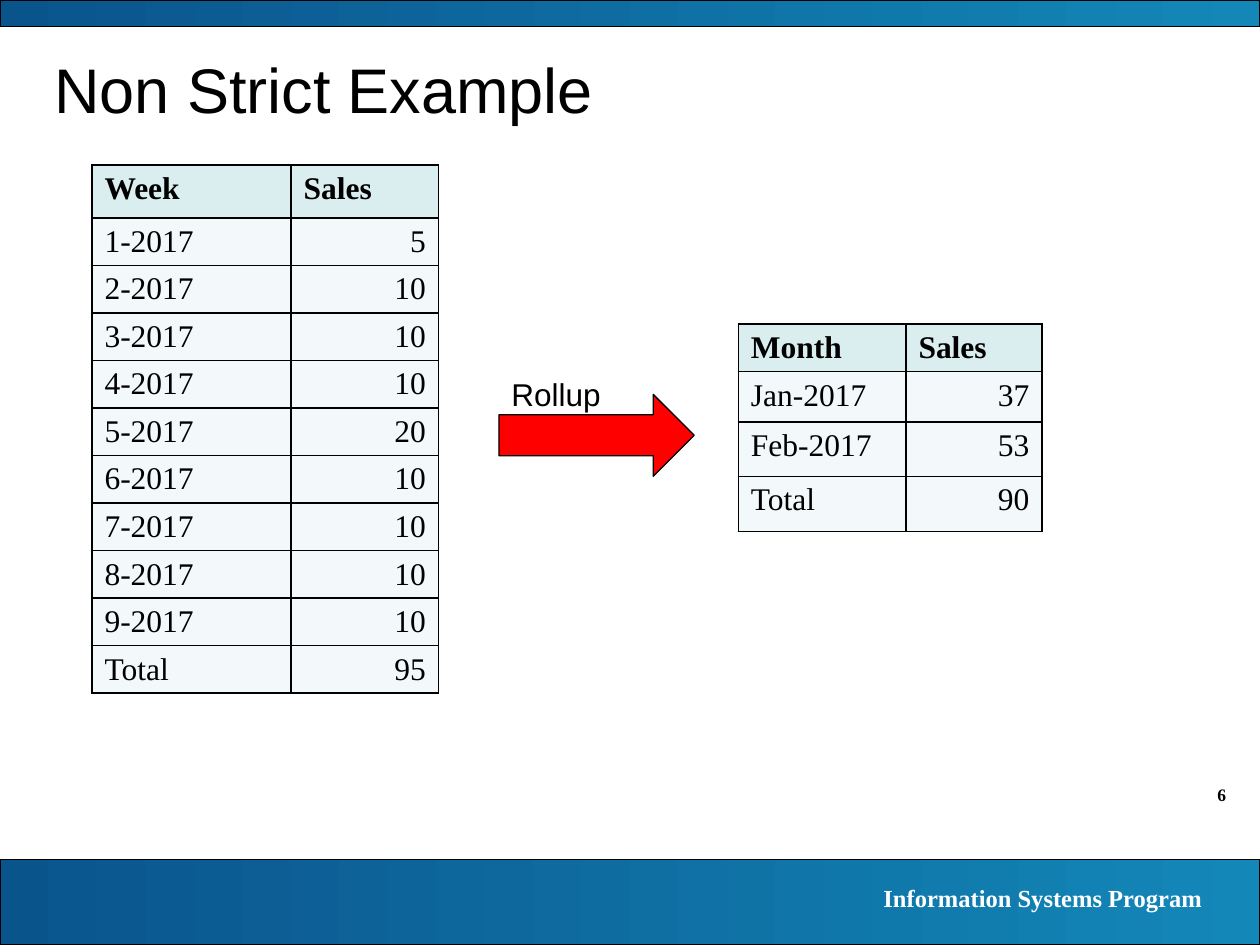
from lxml import etree
from pptx import Presentation
from pptx.dml.color import RGBColor
from pptx.enum.shapes import MSO_SHAPE as Shape
from pptx.enum.text import MSO_ANCHOR as Anchor, PP_ALIGN as Align
from pptx.oxml import parse_xml
from pptx.oxml.ns import nsdecls
from pptx.util import Inches, Pt

BLACK = RGBColor(0, 0, 0)
WHITE = RGBColor(255, 255, 255)
RED = RGBColor(255, 0, 0)
NAVY = RGBColor(0x0A, 0x54, 0x8C)
BLUE = RGBColor(0x13, 0x87, 0xB8)
HEAD = RGBColor(0xDA, 0xED, 0xEF)
PALE = RGBColor(0xF3, 0xF9, 0xFA)
SERIF = "Times New Roman"


def write(frame, text, size=18, font=SERIF, color=BLACK, bold=False, align=Align.LEFT):
    para = frame.paragraphs[0]
    para.alignment = align
    run = para.add_run()
    run.text = text
    run.font.size = Pt(size)
    run.font.name = font
    run.font.bold = bold
    run.font.color.rgb = color


def edge(cell):
    props = cell._tc.get_or_add_tcPr()
    for i, side in enumerate(("lnL", "lnR", "lnT", "lnB")):
        line = parse_xml(
            f'<a:{side} {nsdecls("a")} w="{Pt(1)}"><a:solidFill>'
            f'<a:srgbClr val="{BLACK}"/></a:solidFill></a:{side}>')
        props.insert(i, line)


deck = Presentation()
deck.slide_width, deck.slide_height = Inches(10), Inches(7.5)
slide = deck.slides.add_slide(deck.slide_layouts[5])
shapes = slide.shapes

for top, high in ((6.82, 0.68), (0, 0.21)):
    band = shapes.add_shape(Shape.RECTANGLE, 0, Inches(top), Inches(10), Inches(high))
    band.shadow.inherit = False
    band.fill.gradient()
    band.fill.gradient_angle = 0
    for stop, color in zip(band.fill.gradient_stops, (NAVY, BLUE)):
        stop.color.rgb = color
    band.line.color.rgb = BLACK
    band.line.width = Pt(0.75)

title = shapes.title
title.left, title.top = Inches(0.33), Inches(0.33)
title.width, title.height = Inches(9.17), Inches(0.75)
title.text_frame.vertical_anchor = Anchor.MIDDLE
write(title.text_frame, "Non Strict Example", size=36, font="Arial")

weeks = [("Week", "Sales")]
for week, sale in enumerate((5, 10, 10, 10, 20, 10, 10, 10, 10), 1):
    weeks.append((f"{week}-2017", str(sale)))
weeks.append(("Total", "95"))
months = [("Month", "Sales"), ("Jan-2017", "37"), ("Feb-2017", "53"), ("Total", "90")]

tables = (
    (months, 5.86, 2.57, (1.33, 1.08), (0.38, 0.4, 0.43, 0.44)),
    (weeks, 0.73, 1.31, (1.58, 1.17), (0.42,) + (0.34,) * 10),
)
for data, left, top, wides, highs in tables:
    grid = shapes.add_table(len(data), 2, Inches(left), Inches(top),
                            Inches(sum(wides)), Inches(sum(highs))).table
    grid.horz_banding = False
    for col, wide in zip(grid.columns, wides):
        col.width = Inches(wide)
    for r, (row, high) in enumerate(zip(data, highs)):
        grid.rows[r].height = Inches(high)
        for c, text in enumerate(row):
            cell = grid.cell(r, c)
            cell.fill.solid()
            cell.fill.fore_color.rgb = PALE if r else HEAD
            edge(cell)
            write(cell.text_frame, text, bold=r == 0,
                  align=Align.RIGHT if r and c else Align.LEFT)

arrow = shapes.add_shape(Shape.RIGHT_ARROW, Inches(3.96), Inches(3.13),
                         Inches(1.55), Inches(0.65))
arrow.shadow.inherit = False
arrow.fill.solid()
arrow.fill.fore_color.rgb = RED
arrow.line.color.rgb = BLACK
arrow.line.width = Pt(0.75)

labels = (
    ("6", 9, 6.17, 0.83, 0.27, dict(size=10, bold=True, align=Align.RIGHT)),
    ("Information Systems Program", 5.55, 6.96, 4.09, 0.34,
     dict(size=14, color=WHITE, bold=True, align=Align.RIGHT)),
    ("Rollup", 3.96, 2.93, 1.17, 0.4, dict(font="Arial")),
)
for text, left, top, wide, high, style in labels:
    box = shapes.add_textbox(Inches(left), Inches(top), Inches(wide), Inches(high))
    box.text_frame.word_wrap = True
    write(box.text_frame, text, **style)

deck.save("out.pptx")
